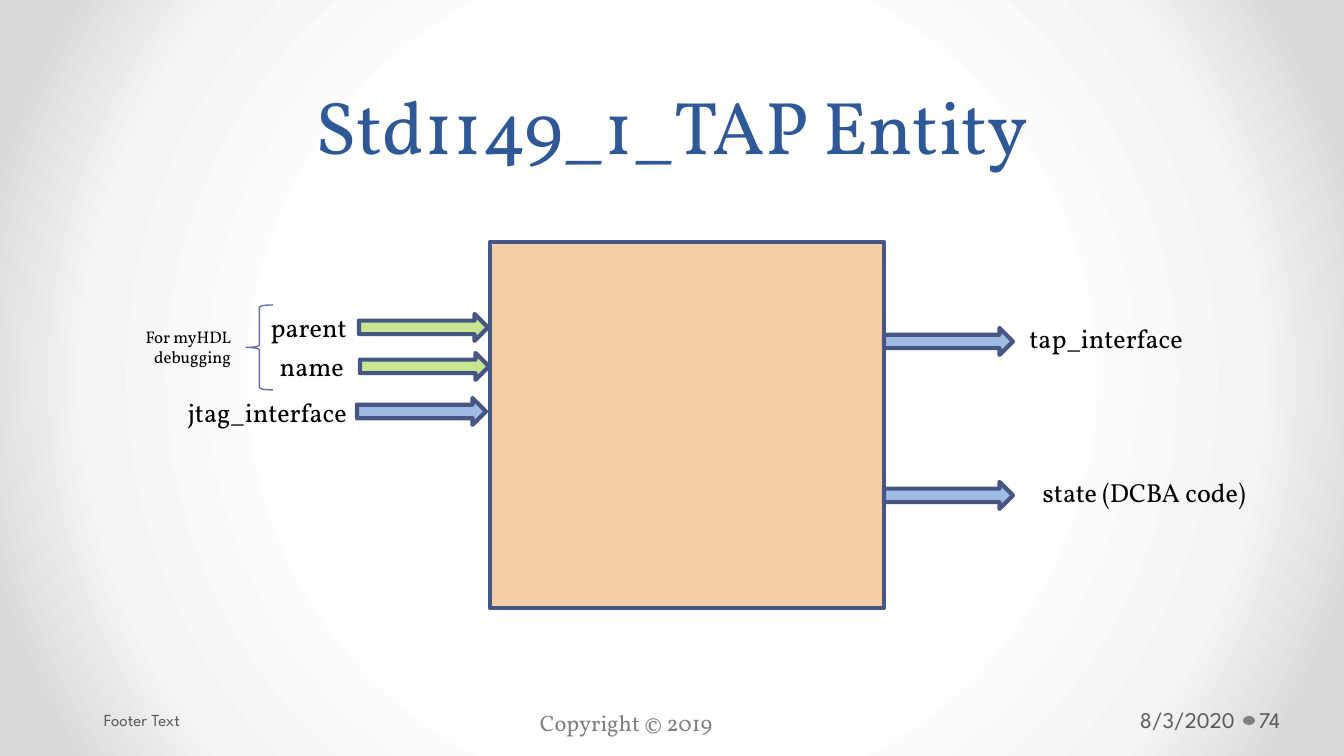
import pptx
import pptx.util
import pptx.dml.color
import pptx.enum.shapes
import pptx.enum.text
import pptx.oxml
import pptx.oxml.ns

PX = 914400 / 134.4
SHAPE = pptx.enum.shapes.MSO_SHAPE
ALIGN = pptx.enum.text.PP_ALIGN
ANCHOR = pptx.enum.text.MSO_ANCHOR
SERIF, SANS = "Vollkorn", "League Spartan"

COLORS = {
    "title": "2F5897", "label": "000000", "footer": "595959", "muted": "808080",
    "entity": "F5CEA7", "outline": "475785", "brace": "5C72B2",
    "debug": "C7E68F", "signal": "A0BAE1",
}
BACKDROP = [(50, "FFFFFF"), (76, "F4F4F4"), (92, "DADADA")]

TITLE = ("Std1149_1_TAP Entity", (67, 0, 1210, 176))
ENTITY = (490, 242, 394, 366)
BRACE = (246, 305, 27, 85)
DEBUG_NOTE = ("For myHDL debugging", (118, 320, 126, 54))
ARROW_SIZE = (129, 27)
LABEL_HEIGHT = 46
PORTS = [
    ("parent", (246, 305, 114), (359, 314), "debug"),
    ("name", (243, 344, 114), (360, 353), "debug"),
    ("jtag_interface", (145, 390, 215), (357, 398), "signal"),
    ("tap_interface", (1012, 316, 184), (884, 328), "signal"),
    ("state (DCBA code)", (1012, 470, 247), (884, 482), "signal"),
]
COPYRIGHT = ("Copyright © 2019", (527, 703, 392, 40))
FOOTERS = [
    ("8/3/2020", (1109, 700, 133, 40), 12, ALIGN.RIGHT, (13, 7)),
    ("Footer Text", (97, 700, 418, 40), 9, ALIGN.LEFT, (7, 13)),
    ("74", (1255, 700, 82, 40), 12, ALIGN.LEFT, (4, 7)),
]
PAGE_DOT = (1243, 716, 12, 9)


def emu(lengths):
    return [round(length * PX) for length in lengths]


def rgb(name):
    return pptx.dml.color.RGBColor.from_string(COLORS[name])


def add_text(text, box, size=14, font=SERIF, color="label", align=ALIGN.RIGHT,
             anchor=ANCHOR.TOP, insets=(13, 13), spacing=None):
    frame = slide.shapes.add_textbox(*emu(box)).text_frame
    frame.word_wrap = True
    frame.vertical_anchor = anchor
    frame.margin_left, frame.margin_right = emu(insets)
    paragraph = frame.paragraphs[0]
    paragraph.alignment = align
    if spacing:
        paragraph.line_spacing = pptx.util.Pt(spacing)
    run = paragraph.add_run()
    run.text = text
    run.font.size = pptx.util.Pt(size)
    run.font.name = font
    run.font.color.rgb = rgb(color)


def add_figure(preset, box, fill=None, line=None, width=2.25):
    figure = slide.shapes.add_shape(preset, *emu(box))
    figure.shadow.inherit = False
    if fill:
        figure.fill.solid()
        figure.fill.fore_color.rgb = rgb(fill)
    else:
        figure.fill.background()
    if line:
        figure.line.color.rgb = rgb(line)
        figure.line.width = pptx.util.Pt(width)
    else:
        figure.line.fill.background()


def paint_backdrop():
    slide.background.fill.gradient()
    gradient = next(slide.element.iter(pptx.oxml.ns.qn("a:gradFill")))
    stops = "".join(
        f'<a:gs pos="{percent * 1000}"><a:srgbClr val="{color}"/></a:gs>'
        for percent, color in BACKDROP)
    radial = pptx.oxml.parse_xml(
        f'<a:gradFill {pptx.oxml.ns.nsdecls("a")} rotWithShape="1">'
        f'<a:gsLst>{stops}</a:gsLst><a:path path="circle">'
        '<a:fillToRect l="50000" t="50000" r="50000" b="50000"/>'
        '</a:path></a:gradFill>')
    gradient.getparent().replace(gradient, radial)


deck = pptx.Presentation()
deck.slide_width, deck.slide_height = emu((1344, 756))
slide = deck.slides.add_slide(deck.slide_layouts[6])
paint_backdrop()

add_figure(SHAPE.OVAL, PAGE_DOT, fill="muted")
add_text(*COPYRIGHT, size=12, color="muted", align=ALIGN.LEFT)
add_text(*TITLE, size=40, color="title", align=ALIGN.CENTER,
         anchor=ANCHOR.BOTTOM, spacing=58)
for text, box, size, align, insets in FOOTERS:
    add_text(text, box, size=size, font=SANS, color="footer", align=align,
             anchor=ANCHOR.MIDDLE, insets=insets)

add_figure(SHAPE.RECTANGLE, ENTITY, fill="entity", line="outline")
add_figure(SHAPE.LEFT_BRACE, BRACE, line="brace", width=0.75)
add_text(*DEBUG_NOTE, size=9)
for label, label_box, arrow_corner, kind in PORTS:
    add_text(label, (*label_box, LABEL_HEIGHT))
    add_figure(SHAPE.RIGHT_ARROW, (*arrow_corner, *ARROW_SIZE),
               fill=kind, line="outline")

deck.save("out.pptx")
